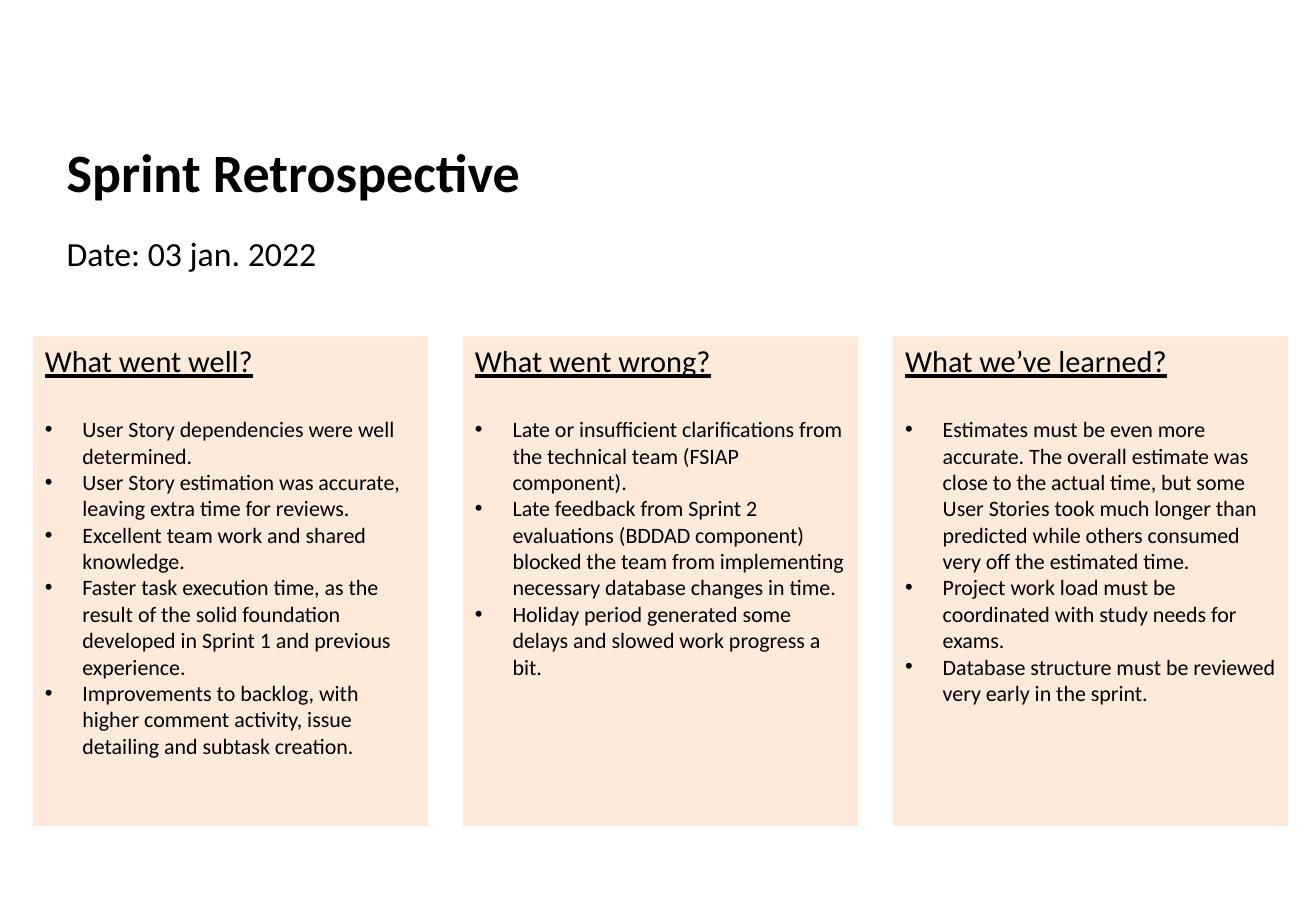
from dataclasses import dataclass

from lxml.etree import SubElement
from pptx import Presentation
from pptx.dml.color import RGBColor
from pptx.enum.shapes import MSO_SHAPE as Shape
from pptx.enum.text import MSO_ANCHOR as Anchor, PP_ALIGN as Align
from pptx.oxml.ns import qn
from pptx.util import Inches, Pt

BLACK = RGBColor(0x00, 0x00, 0x00)
PEACH = RGBColor(0xFD, 0xEA, 0xDA)
FONT = "Calibri"

TEXT_LEFT, TEXT_WIDTH = 0.45, 9.89
CARD_LEFT, CARD_TOP, CARD_WIDTH, CARD_HEIGHT = 0.27, 2.77, 3.25, 4.03
CARD_PITCH = 3.54
BULLET_INDENT = 0.31


@dataclass(frozen=True)
class Heading:
    text: str
    top: float
    height: float
    style: dict


@dataclass(frozen=True)
class Card:
    question: str
    answers: tuple[str, ...]


HEADINGS = (
    Heading("Sprint Retrospective", 1.09, 0.62, {"size": Pt(32), "bold": True}),
    Heading("Date: 03 jan. 2022", 1.87, 5.02, {"size": Pt(20)}),
)
QUESTION_STYLE = {"size": Pt(18), "underline": True}
ANSWER_STYLE = {"size": Pt(13)}

CARDS = (
    Card("What went well?", (
        "User Story dependencies were well determined.",
        "User Story estimation was accurate, leaving extra time for reviews.",
        "Excellent team work and shared knowledge.",
        "Faster task execution time, as the result of the solid foundation "
        "developed in Sprint 1 and previous experience.",
        "Improvements to backlog, with higher comment activity, issue "
        "detailing and subtask creation.",
    )),
    Card("What went wrong?", (
        "Late or insufficient clarifications from the technical team "
        "(FSIAP component).",
        "Late feedback from Sprint 2 evaluations (BDDAD component) blocked "
        "the team from implementing necessary database changes in time.",
        "Holiday period generated some delays and slowed work progress a bit.",
    )),
    Card("What we’ve learned?", (
        "Estimates must be even more accurate. The overall estimate was close "
        "to the actual time, but some User Stories took much longer than "
        "predicted while others consumed very off the estimated time.",
        "Project work load must be coordinated with study needs for exams.",
        "Database structure must be reviewed very early in the sprint.",
    )),
)


def write(paragraph, text: str, style: dict) -> None:
    paragraph.alignment = Align.LEFT
    run = paragraph.add_run()
    run.text = text
    run.font.color.rgb = BLACK
    for name, value in ({"name": FONT} | style).items():
        setattr(run.font, name, value)


def add_bullet(paragraph) -> None:
    """Give the paragraph a hanging indent and a black round bullet."""
    properties = paragraph._p.get_or_add_pPr()
    properties.set("marL", str(Inches(BULLET_INDENT)))
    properties.set("indent", str(-Inches(BULLET_INDENT)))
    color = SubElement(properties, qn("a:buClr"))
    SubElement(color, qn("a:srgbClr"), val=str(BLACK))
    SubElement(properties, qn("a:buFont"), typeface="Arial")
    SubElement(properties, qn("a:buChar"), char="•")


def draw_heading(slide, heading: Heading) -> None:
    box = slide.shapes.add_textbox(
        Inches(TEXT_LEFT), Inches(heading.top),
        Inches(TEXT_WIDTH), Inches(heading.height))
    box.text_frame.word_wrap = True
    write(box.text_frame.paragraphs[0], heading.text, heading.style)


def draw_card(slide, card: Card, left: float) -> None:
    shape = slide.shapes.add_shape(
        Shape.RECTANGLE, Inches(left), Inches(CARD_TOP),
        Inches(CARD_WIDTH), Inches(CARD_HEIGHT))
    shape.shadow.inherit = False
    shape.fill.solid()
    shape.fill.fore_color.rgb = PEACH
    shape.line.fill.background()

    frame = shape.text_frame
    frame.word_wrap = True
    frame.vertical_anchor = Anchor.TOP
    question = frame.paragraphs[0]
    question.space_after = Pt(22)
    write(question, card.question, QUESTION_STYLE)
    for answer in card.answers:
        paragraph = frame.add_paragraph()
        write(paragraph, answer, ANSWER_STYLE)
        add_bullet(paragraph)


def main() -> None:
    presentation = Presentation()
    presentation.slide_width = Inches(10.83)
    presentation.slide_height = Inches(7.5)
    slide = presentation.slides.add_slide(presentation.slide_layouts[6])
    for heading in HEADINGS:
        draw_heading(slide, heading)
    for column, card in enumerate(CARDS):
        draw_card(slide, card, CARD_LEFT + column * CARD_PITCH)
    presentation.save("out.pptx")


if __name__ == "__main__":
    main()
